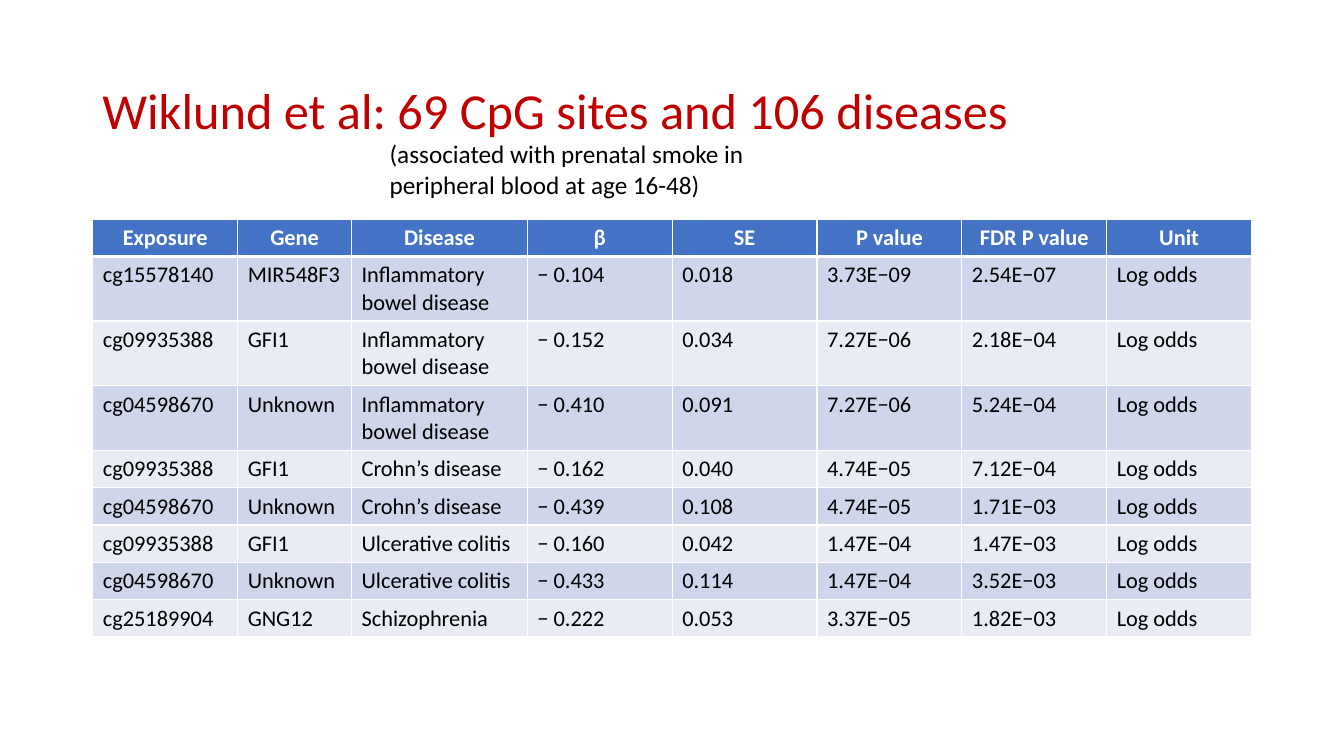
from lxml import etree
from pptx import Presentation
from pptx.dml.color import RGBColor
from pptx.enum import text
from pptx.oxml import ns
from pptx.util import Cm, Pt

FONT = "Calibri"
RED = RGBColor(0xC0, 0x00, 0x00)
BLACK = RGBColor(0x00, 0x00, 0x00)
WHITE = RGBColor(0xFF, 0xFF, 0xFF)
HEADER_BLUE = RGBColor(0x44, 0x72, 0xC4)
BAND_COLOURS = (RGBColor(0xCF, 0xD5, 0xEA), RGBColor(0xE9, 0xEB, 0xF5))

HEADER = ("Exposure", "Gene", "Disease", "β", "SE", "P value", "FDR P value", "Unit")
IBD = "Inflammatory bowel disease"
CROHN = "Crohn’s disease"
COLITIS = "Ulcerative colitis"
UNIT = "Log odds"
ASSOCIATIONS = (
    ("cg15578140", "MIR548F3", IBD, "− 0.104", "0.018", "3.73E−09", "2.54E−07", UNIT),
    ("cg09935388", "GFI1", IBD, "− 0.152", "0.034", "7.27E−06", "2.18E−04", UNIT),
    ("cg04598670", "Unknown", IBD, "− 0.410", "0.091", "7.27E−06", "5.24E−04", UNIT),
    ("cg09935388", "GFI1", CROHN, "− 0.162", "0.040", "4.74E−05", "7.12E−04", UNIT),
    ("cg04598670", "Unknown", CROHN, "− 0.439", "0.108", "4.74E−05", "1.71E−03", UNIT),
    ("cg09935388", "GFI1", COLITIS, "− 0.160", "0.042", "1.47E−04", "1.47E−03", UNIT),
    ("cg04598670", "Unknown", COLITIS, "− 0.433", "0.114", "1.47E−04", "3.52E−03", UNIT),
    ("cg25189904", "GNG12", "Schizophrenia", "− 0.222", "0.053", "3.37E−05", "1.82E−03", UNIT),
)
COLUMN_WIDTHS = (3.65, 2.87, 4.43) + (3.65,) * 5
ONE_LINE_ROW, TWO_LINE_ROW = 0.94, 1.63


def add_run(paragraph, words, size, colour, bold=False):
    run = paragraph.add_run()
    run.text = words
    run.font.name = FONT
    run.font.size = Pt(size)
    run.font.bold = bold
    run.font.color.rgb = colour


def add_text(slide, box, words, size, colour, anchor=text.MSO_ANCHOR.TOP, line_spacing=1.0):
    frame = slide.shapes.add_textbox(*(Cm(length) for length in box)).text_frame
    frame.word_wrap = True
    frame.vertical_anchor = anchor
    paragraph = frame.paragraphs[0]
    paragraph.line_spacing = line_spacing
    add_run(paragraph, words, size, colour)


def set_borders(cell, widths):
    """Draw white borders; widths are points in the order left, right, top, bottom."""
    properties = cell._tc.get_or_add_tcPr()
    for index, (side, width) in enumerate(zip("LRTB", widths)):
        line = etree.Element(ns.qn(f"a:ln{side}"), w=str(Pt(width)))
        fill = etree.SubElement(line, ns.qn("a:solidFill"))
        etree.SubElement(fill, ns.qn("a:srgbClr"), val=str(WHITE))
        properties.insert(index, line)


def fill_cell(cell, words, fill_colour, text_colour, is_header, border_widths):
    cell.fill.solid()
    cell.fill.fore_color.rgb = fill_colour
    set_borders(cell, border_widths)
    paragraph = cell.text_frame.paragraphs[0]
    paragraph.alignment = text.PP_ALIGN.CENTER if is_header else text.PP_ALIGN.LEFT
    add_run(paragraph, words, 16, text_colour, bold=is_header)


def add_association_table(slide, left, top):
    rows = (HEADER,) + ASSOCIATIONS
    heights = [TWO_LINE_ROW if IBD in row else ONE_LINE_ROW for row in rows]
    table = slide.shapes.add_table(
        len(rows), len(HEADER), Cm(left), Cm(top), Cm(sum(COLUMN_WIDTHS)), Cm(sum(heights))
    ).table
    for column, width in zip(table.columns, COLUMN_WIDTHS):
        column.width = Cm(width)
    for index, (row, height) in enumerate(zip(rows, heights)):
        table.rows[index].height = Cm(height)
        is_header = index == 0
        fill_colour = HEADER_BLUE if is_header else BAND_COLOURS[(index - 1) % 2]
        text_colour = WHITE if is_header else BLACK
        border_widths = (1, 1, 3 if index == 1 else 1, 3 if is_header else 1)
        for cell, words in zip(table.rows[index].cells, row):
            fill_cell(cell, words, fill_colour, text_colour, is_header, border_widths)


def add_heading(slide, left, top):
    add_text(slide, (left, top, 29.21, 3.68), "Wiklund et al: 69 CpG sites and 106 diseases",
             36, RED, text.MSO_ANCHOR.MIDDLE, 0.9)
    add_text(slide, (left + 7.24, top + 2.36, 9.55, 1.8),
             "(associated with prenatal smoke in peripheral blood at age 16-48)", 18, BLACK)


def main():
    presentation = Presentation()
    presentation.slide_width = Cm(33.87)
    presentation.slide_height = Cm(19.05)
    slide = presentation.slides.add_slide(presentation.slide_layouts[6])
    add_heading(slide, 2.33, 1.01)
    add_association_table(slide, 2.34, 5.52)
    presentation.save("out.pptx")


if __name__ == "__main__":
    main()
